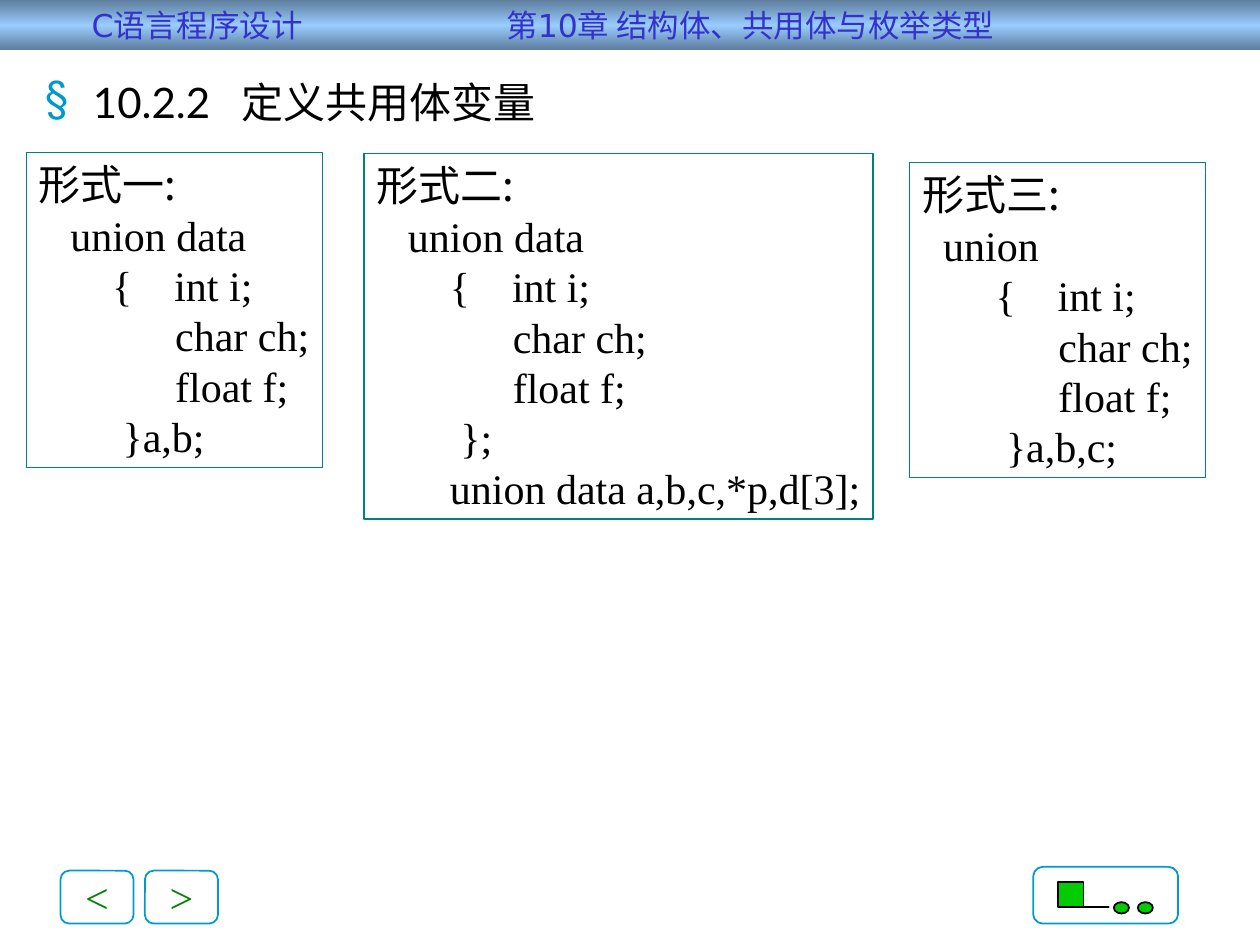
"""Build the slide that shows three ways to define union variables in C."""
import lxml.etree
import pptx
import pptx.dml.color
import pptx.enum.shapes
import pptx.enum.text
import pptx.oxml
import pptx.oxml.ns
import pptx.util

COLORS = {"steel": "5D7C9B", "sky": "99CCFF", "navy": "3333CC", "cyan": "0099CC",
          "teal": "008080", "green": "008000", "lime": "00CC00",
          "black": "000000", "white": "FFFFFF"}
CJK, SERIF = "Noto Sans CJK SC", "Times New Roman"
SHAPES = pptx.enum.shapes.MSO_SHAPE
qn = pptx.oxml.ns.qn

presentation = pptx.Presentation()
presentation.slide_width = pptx.util.Inches(10)
presentation.slide_height = pptx.util.Inches(7.5)
CELL = presentation.slide_width // 100
slide = presentation.slides.add_slide(presentation.slide_layouts[6])


def add_box(kind, place, fill=None, line=None, line_width=1):
    """Add a preset shape at left, top, width and height in grid cells."""
    shape = slide.shapes.add_shape(kind, *(round(length * CELL) for length in place))
    shape.shadow.inherit = False
    if fill:
        shape.fill.solid()
        shape.fill.fore_color.rgb = pptx.dml.color.RGBColor.from_string(COLORS[fill])
    else:
        shape.fill.background()
    if line:
        shape.line.color.rgb = pptx.dml.color.RGBColor.from_string(COLORS[line])
        shape.line.width = pptx.util.Pt(line_width)
    else:
        shape.line.fill.background()
    shape.text_frame.word_wrap = False
    shape.text_frame.vertical_anchor = pptx.enum.text.MSO_ANCHOR.MIDDLE
    return shape


def write(paragraph, text, font, color="black", size=24, align="LEFT", tabs=()):
    """Fill a paragraph with text in one style, with tab stops in grid cells."""
    paragraph.text = text
    paragraph.alignment = pptx.enum.text.PP_ALIGN[align]
    if tabs:
        properties = paragraph._p.get_or_add_pPr()
        stops = lxml.etree.SubElement(properties, qn("a:tabLst"))
        for tab in tabs:
            lxml.etree.SubElement(stops, qn("a:tab"), pos=str(round(tab * CELL)), algn="l")
    paragraph.font.name = font
    paragraph.font.size = pptx.util.Pt(size)
    paragraph.font.color.rgb = pptx.dml.color.RGBColor.from_string(COLORS[color])
    latin = paragraph.font._element.find(qn("a:latin"))
    east_asian = pptx.oxml.parse_xml(f'<a:ea {pptx.oxml.ns.nsdecls("a")} typeface="{CJK}"/>')
    latin.addnext(east_asian)


header = add_box(SHAPES.RECTANGLE, (0, 0, 100, 4))
header.fill.gradient()
header.fill.gradient_angle = 90
stop_list = header.fill._fill._gradFill.find(qn("a:gsLst"))
stop_list.clear()
for position, name in ((0, "steel"), (50, "sky"), (100, "steel")):
    stop = lxml.etree.SubElement(stop_list, qn("a:gs"), pos=str(position * 1000))
    lxml.etree.SubElement(stop, qn("a:srgbClr"), val=COLORS[name])
write(header.text_frame.paragraphs[0], "\tC语言程序设计\t第10章 结构体、共用体与枚举类型",
      "DejaVu Sans", "navy", 18, tabs=(6.3, 39.2))

for left, label in ((4.8, "<"), (11.5, ">")):
    button = add_box(SHAPES.ROUNDED_RECTANGLE, (left, 69.1, 5.8, 4.2), line="cyan")
    write(button.text_frame.paragraphs[0], label, SERIF, "green", align="CENTER")

add_box(SHAPES.ROUNDED_RECTANGLE, (82, 68.8, 11.5, 4.5), line="cyan")

outline = [(84.9, 69.6), (83.7, 70.5), (84.3, 70.5)]
curves = (((84.3, 70.9), (84.3, 71.8), (85.1, 72.5), (86.2, 72.5)),
          ((86.2, 71.7), (85.8, 71.7), (85.6, 71.3), (85.6, 70.9)))
for curve, straight in zip(curves, ([(88.1, 72.5), (88.1, 71.7)], [(85.6, 70.5), (86.2, 70.5)])):
    for step in range(13):
        t = step / 12
        weights = ((1 - t) ** 3, 3 * t * (1 - t) ** 2, 3 * t ** 2 * (1 - t), t ** 3)
        outline.append(tuple(sum(w * point[axis] for w, point in zip(weights, curve))
                             for axis in (0, 1)))
    outline += straight
builder = slide.shapes.build_freeform(*outline[0], scale=CELL)
builder.add_line_segments(outline[1:], close=True)
arrow = builder.convert_to_shape()
arrow.shadow.inherit = False
arrow.fill.solid()
arrow.fill.fore_color.rgb = pptx.dml.color.RGBColor.from_string(COLORS["lime"])
arrow.line.color.rgb = pptx.dml.color.RGBColor.from_string(COLORS["black"])
arrow.line.width = pptx.util.Pt(1)
for left in (88.4, 90.3):
    add_box(SHAPES.OVAL, (left, 71.6, 1.2, 0.9), "lime", "black")

title = slide.shapes.add_textbox(*(round(length * CELL) for length in (2.6, 5.6, 95.4, 6.1)))
title.text_frame.word_wrap = True
paragraph = title.text_frame.paragraphs[0]
properties = paragraph._p.get_or_add_pPr()
properties.set("marL", str(round(3.8 * CELL)))
properties.set("indent", str(round(-3.8 * CELL)))
bullet_color = lxml.etree.SubElement(properties, qn("a:buClr"))
lxml.etree.SubElement(bullet_color, qn("a:srgbClr"), val=COLORS["cyan"])
lxml.etree.SubElement(properties, qn("a:buChar"), char="§")
write(paragraph, "10.2.2\t定义共用体变量", "Lato", tabs=(15.6,))

MEMBERS = ["       {    int i;", "             char ch;", "             float f;"]
forms = (
    ((2.1, 12.1, 23.5, 25), "形式一:", ["   union data", *MEMBERS, "        }a,b;"]),
    ((28.9, 12.2, 40.4, 29), "形式二:", ["   union data", *MEMBERS, "        };",
                                     "       union data a,b,c,*p,d[3];"]),
    ((72.2, 12.9, 23.5, 25), "形式三:", ["  union", *MEMBERS, "        }a,b,c;"]),
)
for place, heading, code in forms:
    frame = add_box(SHAPES.RECTANGLE, place, "white", "teal", 0.75).text_frame
    write(frame.paragraphs[0], heading, CJK)
    for code_line in code:
        write(frame.add_paragraph(), code_line, SERIF)

presentation.save("out.pptx")
